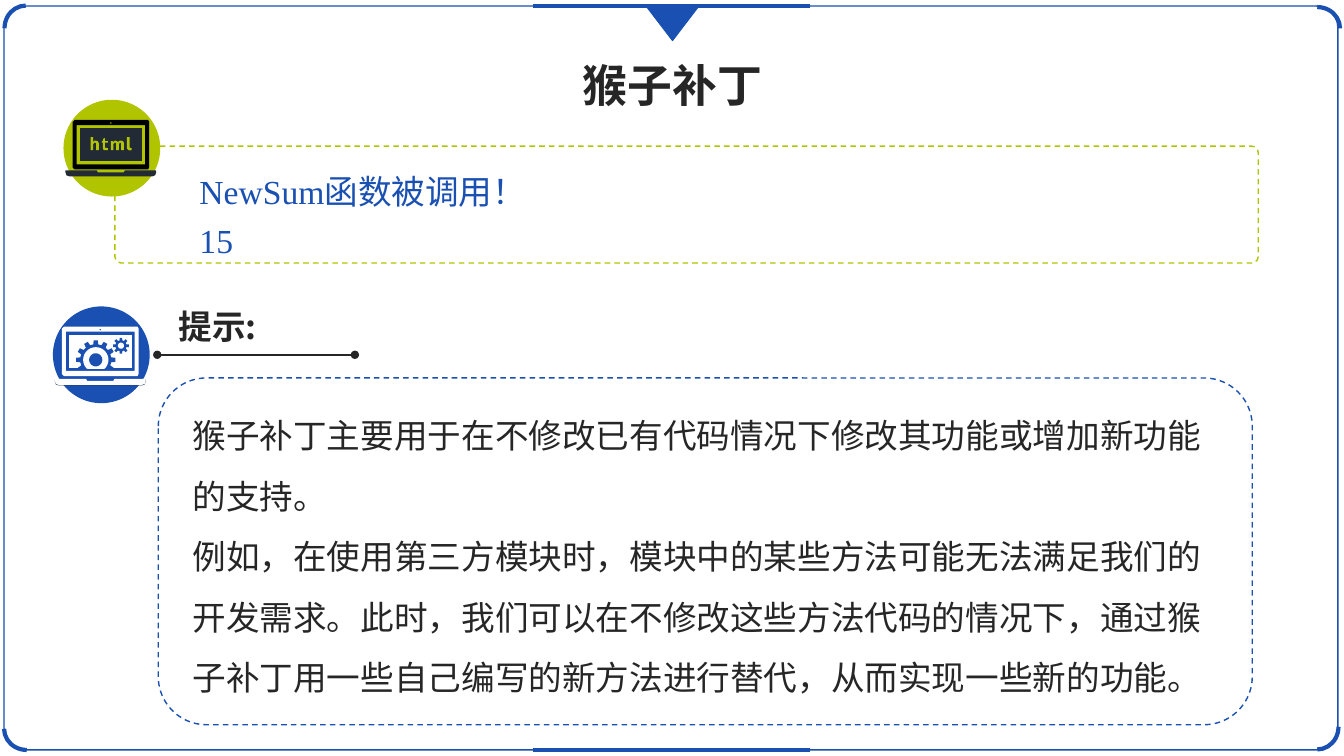
"""Build the monkey patch slide with its output box, hint box and laptop icons."""
from math import cos, pi, sin

from pptx import Presentation
from pptx.dml.color import RGBColor
from pptx.enum.dml import MSO_LINE
from pptx.enum.shapes import MSO_CONNECTOR, MSO_SHAPE
from pptx.enum.text import MSO_ANCHOR, MSO_AUTO_SIZE, PP_ALIGN
from pptx.oxml.ns import qn
from pptx.util import Inches, Pt
from lxml.etree import SubElement

COLORS = {"blue": "1950B2", "green": "B1C400", "ink": "262626", "black": "000000",
          "slate": "222A35", "navy": "203864", "white": "FFFFFF"}
CELL = Inches(0.01)
COLUMNS, ROWS = 1333, 750
SANS, SERIF = "Noto Sans CJK SC", "Times New Roman"

deck = Presentation()
deck.slide_width, deck.slide_height = COLUMNS * CELL, ROWS * CELL
page = deck.slides.add_slide(deck.slide_layouts[1])
shapes = page.shapes


def paint(kind, cells, fill=None, line=None, width=1, dash=None, corner=None, turn=0):
    """Add a preset shape on the grid, or format a finished outline."""
    shape = shapes.add_shape(kind, *[int(cell * CELL) for cell in cells]) if cells else kind
    shape.shadow.inherit = False
    shape.rotation = turn
    if corner is not None:
        shape.adjustments[0] = corner
    if fill:
        shape.fill.solid()
        shape.fill.fore_color.rgb = RGBColor.from_string(COLORS[fill])
    else:
        shape.fill.background()
    if line:
        shape.line.color.rgb = RGBColor.from_string(COLORS[line])
        shape.line.width = Pt(width)
        shape.line.dash_style = dash
    else:
        shape.line.fill.background()


def outline(contours, fill):
    """Add one filled shape from closed contours given in grid cells."""
    drawing = None
    for contour in contours:
        points = [(int(x * CELL), int(y * CELL)) for x, y in contour]
        if drawing is None:
            drawing = shapes.build_freeform(*points[0], scale=1.0)
        else:
            drawing.move_to(*points[0])
        drawing.add_line_segments(points[1:], close=True)
    paint(drawing.convert_to_shape(), None, fill)


paint(MSO_SHAPE.ROUNDED_RECTANGLE, (4, 6, 1323, 738), line="blue", corner=0.029)
for left, top, turn in [(3, 7, 270), (4, 702, 180), (1284, 7, 0), (1284, 700, 90)]:
    paint(MSO_SHAPE.ARC, (left, top, 45, 42), line="blue", width=3, turn=turn)

for left, right, row, color, width, ends in [
        (529, 803, 6, "blue", 3, ()), (529, 803, 744, "blue", 3, ()),
        (156, 352, 352, "ink", 1.5, ("a:headEnd", "a:tailEnd"))]:
    rule = shapes.add_connector(MSO_CONNECTOR.STRAIGHT, left * CELL, row * CELL,
                                right * CELL, row * CELL)
    rule.line.color.rgb = RGBColor.from_string(COLORS[color])
    rule.line.width = Pt(width)
    for end in ends:
        SubElement(rule.line._get_or_add_ln(), qn(end), type="oval")
    SubElement(rule._element.spPr, qn("a:effectLst"))

paint(MSO_SHAPE.ISOSCELES_TRIANGLE, (641, 6, 52, 34), "blue", "blue", turn=180)
paint(MSO_SHAPE.ROUNDED_RECTANGLE, (114, 145, 1134, 116), line="green",
      dash=MSO_LINE.DASH, corner=0.056)
paint(MSO_SHAPE.ROUNDED_RECTANGLE, (157, 375, 1085, 344), line="blue",
      dash=MSO_LINE.DASH, corner=0.139)

texts = [
    (shapes.title, (567, 52, 200, 64), ["猴子补丁"],
     {"size": Pt(32), "name": SANS, "bold": True}, "ink",
     {"alignment": PP_ALIGN.CENTER, "line_spacing": 1.0}, False, 0),
    (None, (166, 157, 425, 103), ["NewSum函数被调用！", "15"],
     {"size": Pt(24), "name": SERIF}, "blue", {"line_spacing": 1.2}, True, 22),
    (None, (162, 299, 97, 50), ["提示:"],
     {"size": Pt(24), "name": SANS, "bold": True}, "ink",
     {"alignment": PP_ALIGN.CENTER, "line_spacing": 1.0}, False, 0),
    (shapes.placeholders[1], (181, 387, 1050, 306),
     ["猴子补丁主要用于在不修改已有代码情况下修改其功能或增加新功能的支持。",
      "例如，在使用第三方模块时，模块中的某些方法可能无法满足我们的开发需求。"
      "此时，我们可以在不修改这些方法代码的情况下，通过猴子补丁用一些自己编写的新方法进行替代，"
      "从而实现一些新的功能。"],
     {"size": Pt(24), "name": SERIF}, "ink", {"line_spacing": 1.5}, True, 0)]
for box, cells, lines, look, color, layout, wrap, indent in texts:
    place = [cell * CELL for cell in cells]
    box = box or shapes.add_textbox(*place)
    box.left, box.top, box.width, box.height = place
    frame = box.text_frame
    frame.word_wrap = wrap
    frame.auto_size = MSO_AUTO_SIZE.SHAPE_TO_FIT_TEXT
    frame.vertical_anchor = MSO_ANCHOR.TOP
    for number, line in enumerate(lines):
        para = frame.add_paragraph() if number else frame.paragraphs[0]
        properties = para._p.get_or_add_pPr()
        properties.set("marL", "0")
        properties.set("indent", str(indent * CELL))
        SubElement(properties, qn("a:buNone"))
        if indent:
            tabs = SubElement(properties, qn("a:tabLst"))
            for stop in range(1, 9):
                SubElement(tabs, qn("a:tab"), pos=str(int(stop * 63.6 * CELL)), algn="l")
        for name, value in {"space_before": Pt(0), **layout}.items():
            setattr(para, name, value)
        span = para.add_run()
        span.text = line
        for name, value in look.items():
            setattr(span.font, name, value)
        span.font.color.rgb = RGBColor.from_string(COLORS[color])
        SubElement(span._r.get_or_add_rPr(), qn("a:ea"), typeface=SANS)

base = [(65, 169), (96, 169), (97, 171), (123, 171), (124, 169), (155, 169),
        (155, 171), (154, 174), (151, 175), (69, 175), (66, 174), (65, 171)]
bezel = [[(74, 119), (147, 119), (148, 121), (148, 166), (147, 168), (74, 168),
          (72, 166), (72, 121)],
         [(76, 124), (76, 163), (144, 163), (144, 124)],
         [(109, 122), (110, 123), (111, 122), (110, 121)]]
panel = [(79, 127), (141, 127), (141, 160), (79, 160)]
for across, down, disc, rim, screen, feet in [
        (0, 0, "green", "black", "slate", [(0, "slate")]),
        (-10.5, 205, "blue", "white", "white", [(2.5, "navy"), (2, "white")])]:
    paint(MSO_SHAPE.OVAL, (63 + across, 99 + down, 96, 96), disc)
    outline([[(x + across, y + down) for x, y in ring] for ring in bezel], rim)
    for drop, color in feet:
        outline([[(x + across, y + down + drop) for x, y in base]], color)
    outline([[(x + across, y + down) for x, y in panel]], screen)

letters = [
    [(90, 136), (92.3, 136), (92.3, 141), (94, 139.5), (97, 140), (98, 142), (98, 149),
     (95.5, 149), (95.5, 142), (94, 141.5), (92.3, 143), (92.3, 149), (90, 149)],
    [(102, 138), (104, 137), (104, 140), (107, 140), (107, 141.5), (104, 141.5),
     (104, 146.5), (107, 147), (107, 149), (103, 149), (102, 147), (102, 141.5),
     (101, 141.5), (101, 140), (102, 140)],
    [(110, 140), (112, 140), (112.2, 141), (114, 139.5), (116, 140), (117, 141),
     (119, 139.5), (122, 140), (123, 142), (123, 149), (120.3, 149), (120.3, 142),
     (119, 141.3), (118, 143), (118, 149), (115.3, 149), (115.3, 142), (114, 141.3),
     (112.4, 143), (112.4, 149), (110, 149)],
    [(126, 136), (128.6, 136), (128.6, 146.5), (130.5, 147), (130.7, 149), (128, 149.3),
     (126, 147.5)]]
outline(letters, "green")

floor = 366
for x, y, teeth, tip, root in [(95, 357, 12, 19.5, 15.5), (120, 343, 8, 8, 5.5)]:
    gear = []
    for tooth in range(teeth):
        for share, radius in [(-0.3, root), (-0.2, tip), (0.2, tip), (0.3, root)]:
            angle = 2 * pi * (tooth + share) / teeth
            gear.append((x + radius * cos(angle), min(y + radius * sin(angle), floor)))
    outline([gear], "blue")
for x, y, radius, color in [(95, 357, 12.5, "white"), (95, 357, 6.5, "blue"),
                            (120, 343, 3, "white")]:
    turns = [2 * pi * step / 48 for step in range(48)]
    outline([[(x + radius * cos(turn), min(y + radius * sin(turn), floor))
              for turn in turns]], color)

deck.save("out.pptx")
